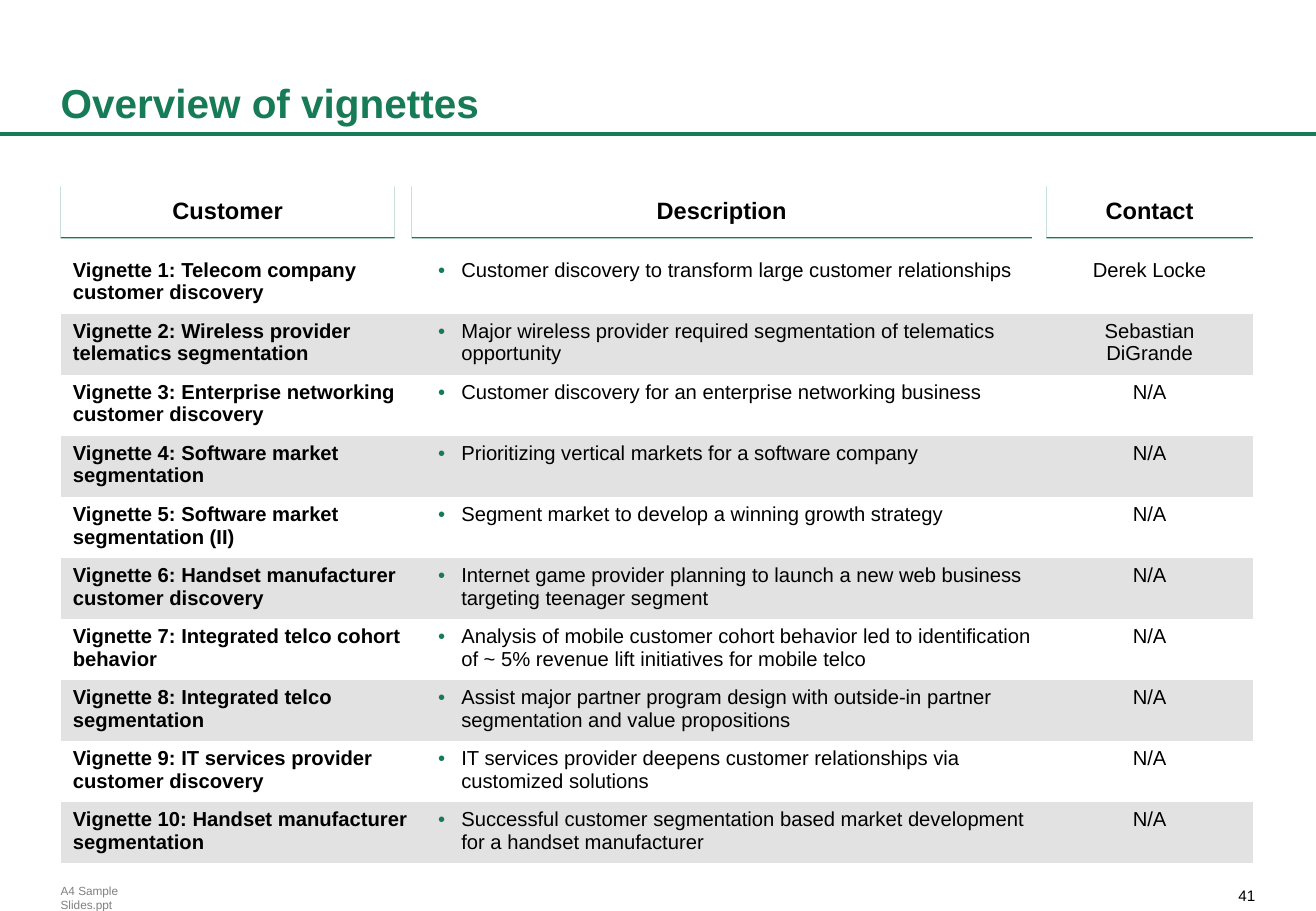
from lxml.etree import SubElement
from pptx import Presentation
from pptx.dml.color import RGBColor
from pptx.enum.shapes import MSO_CONNECTOR, MSO_SHAPE
from pptx.enum.text import MSO_ANCHOR, PP_ALIGN
from pptx.oxml.ns import qn
from pptx.util import Inches, Pt

GREEN = RGBColor(0x17, 0x7B, 0x57)
BLACK = RGBColor(0x00, 0x00, 0x00)
GRAY = RGBColor(0x80, 0x80, 0x80)
BAND = RGBColor(0xE2, 0xE2, 0xE2)
WHITE = RGBColor(0xFF, 0xFF, 0xFF)
FONT = "Arial"
NO_GRID_STYLE = "{2D5ABB26-0587-4C30-8999-92F81FD0307C}"

COLUMN_WIDTHS = (3.01, 5.11, 1.7)
HEADERS = (
    ("Customer", 0.5, 2.75),
    ("Description", 3.39, 5.11),
    ("Contact", 8.62, 1.7),
)
VIGNETTES = (
    ("Telecom company customer discovery",
     "Customer discovery to transform large customer relationships", "Derek Locke"),
    ("Wireless provider telematics segmentation",
     "Major wireless provider required segmentation of telematics opportunity",
     "Sebastian DiGrande"),
    ("Enterprise networking customer discovery",
     "Customer discovery for an enterprise networking business", "N/A"),
    ("Software market segmentation",
     "Prioritizing vertical markets for a software company", "N/A"),
    ("Software market segmentation (II)",
     "Segment market to develop a winning growth strategy", "N/A"),
    ("Handset manufacturer customer discovery",
     "Internet game provider planning to launch a new web business targeting teenager segment",
     "N/A"),
    ("Integrated telco cohort behavior",
     "Analysis of mobile customer cohort behavior led to identification of ~ 5% revenue lift "
     "initiatives for mobile telco", "N/A"),
    ("Integrated telco segmentation",
     "Assist major partner program design with outside-in partner segmentation and value "
     "propositions", "N/A"),
    ("IT services provider customer discovery",
     "IT services provider deepens customer relationships via customized solutions", "N/A"),
    ("Handset manufacturer segmentation",
     "Successful customer segmentation based market development for a handset manufacturer",
     "N/A"),
)


def write_run(paragraph, text, size, color=BLACK, bold=False, align=PP_ALIGN.LEFT):
    """Add one formatted run to an aligned paragraph."""
    paragraph.alignment = align
    run = paragraph.add_run()
    run.text = text
    run.font.name = FONT
    run.font.size = Pt(size)
    run.font.bold = bold
    run.font.color.rgb = color


def set_margins(frame, horizontal, vertical):
    """Set equal side margins and equal top and bottom margins."""
    frame.margin_left = frame.margin_right = Inches(horizontal)
    frame.margin_top = frame.margin_bottom = Inches(vertical)


def add_label(slide, text, box, size, color, anchor=MSO_ANCHOR.TOP, wrap=True,
              vertical_margin=0, **style):
    """Add a text box holding a single run."""
    frame = slide.shapes.add_textbox(*map(Inches, box)).text_frame
    frame.word_wrap = wrap
    frame.vertical_anchor = anchor
    set_margins(frame, 0, vertical_margin)
    write_run(frame.paragraphs[0], text, size, color, **style)


def add_title_rule(slide):
    """Draw the full-width green rule under the title."""
    rule = slide.shapes.add_connector(
        MSO_CONNECTOR.STRAIGHT, Inches(10.84), Inches(1.1), Inches(0), Inches(1.1))
    rule.line.color.rgb = GREEN
    rule.line.width = Pt(2.25)
    SubElement(rule._element.spPr, qn("a:effectLst"))


def add_bullet(paragraph):
    """Give a paragraph a green bullet with a hanging indent."""
    properties = paragraph._p.get_or_add_pPr()
    indent = Inches(0.19)
    properties.set("marL", str(indent))
    properties.set("indent", str(-indent))
    bullet_color = SubElement(properties, qn("a:buClr"))
    SubElement(bullet_color, qn("a:srgbClr"), val=str(GREEN))
    SubElement(properties, qn("a:buFont"), typeface=FONT)
    SubElement(properties, qn("a:buChar"), char="•")


def add_vignette_table(slide):
    """Add the table of vignettes with every second row shaded."""
    table = slide.shapes.add_table(
        len(VIGNETTES), len(COLUMN_WIDTHS),
        Inches(0.5), Inches(2.08), Inches(9.82), Inches(5.03)).table
    table.first_row = False
    table.horz_banding = False
    table._tbl.tblPr.find(qn("a:tableStyleId")).text = NO_GRID_STYLE
    for column, width in zip(table.columns, COLUMN_WIDTHS):
        column.width = Inches(width)
    for index, (customer, description, contact) in enumerate(VIGNETTES):
        cells = table.rows[index].cells
        for cell in cells:
            set_margins(cell, 0.1, 0.05)
            if index % 2:
                cell.fill.solid()
                cell.fill.fore_color.rgb = BAND
            else:
                cell.fill.background()
        name, summary, person = (cell.text_frame.paragraphs[0] for cell in cells)
        write_run(name, f"Vignette {index + 1}: {customer}", 12, bold=True)
        add_bullet(summary)
        write_run(summary, description, 12)
        write_run(person, contact, 12, align=PP_ALIGN.CENTER)


def add_underline_shadow(shape):
    """Cast a thin, sharp green shadow below a shape."""
    effects = SubElement(shape._element.spPr, qn("a:effectLst"))
    shadow = SubElement(effects, qn("a:outerShdw"), blurRad="0", dist=str(Pt(1)),
                        dir="5400000", algn="ctr", rotWithShape="0")
    SubElement(shadow, qn("a:srgbClr"), val=str(GREEN))


def add_header(slide, text, left, width):
    """Add a white column header underlined by its shadow."""
    header = slide.shapes.add_shape(
        MSO_SHAPE.RECTANGLE, Inches(left), Inches(1.52), Inches(width), Inches(0.43))
    header.fill.solid()
    header.fill.fore_color.rgb = WHITE
    header.line.fill.background()
    add_underline_shadow(header)
    frame = header.text_frame
    frame.word_wrap = True
    frame.vertical_anchor = MSO_ANCHOR.BOTTOM
    set_margins(frame, 0.1, 0.1)
    write_run(frame.paragraphs[0], text, 14, bold=True, align=PP_ALIGN.CENTER)


def main():
    """Build the vignette overview slide and save it."""
    presentation = Presentation()
    presentation.slide_width = Inches(10.84)
    presentation.slide_height = Inches(7.5)
    slide = presentation.slides.add_slide(presentation.slide_layouts[6])
    add_label(slide, "41", (10.13, 7.3, 0.21, 0.15), 9, BLACK, align=PP_ALIGN.RIGHT)
    add_label(slide, "A4 Sample Slides.ppt", (0.5, 7.33, 0.92, 0.12), 7, GRAY,
              anchor=MSO_ANCHOR.MIDDLE, wrap=False)
    add_title_rule(slide)
    add_label(slide, "Overview of vignettes", (0.5, 0.18, 9.84, 0.91), 24, GREEN,
              anchor=MSO_ANCHOR.BOTTOM, vertical_margin=0.05, bold=True)
    add_vignette_table(slide)
    for text, left, width in HEADERS:
        add_header(slide, text, left, width)
    presentation.save("out.pptx")


if __name__ == "__main__":
    main()
